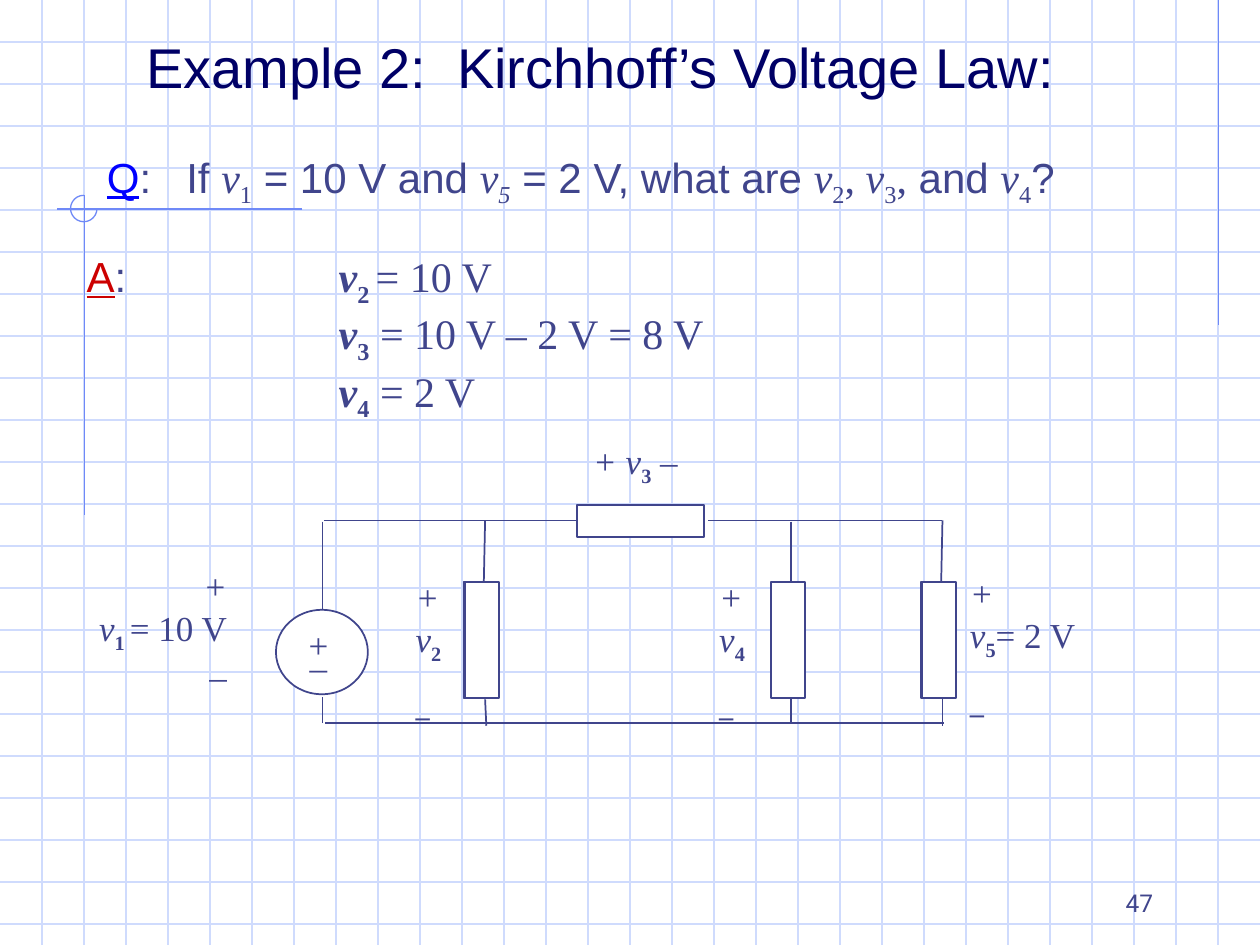
from lxml import etree
from pptx import Presentation
from pptx.dml.color import RGBColor
from pptx.enum.shapes import MSO_CONNECTOR, MSO_SHAPE
from pptx.enum.text import MSO_ANCHOR, PP_ALIGN
from pptx.oxml.ns import qn
from pptx.util import Inches, Pt

GRID = RGBColor(0xCF, 0xDB, 0xFD)
TRIM = RGBColor(0x6F, 0x89, 0xF7)
INK = RGBColor(0x40, 0x45, 0x8C)
NAVY = RGBColor(0x00, 0x00, 0x66)
BLUE = RGBColor(0x00, 0x00, 0xFF)
RED = RGBColor(0xCC, 0x00, 0x00)
WHITE = RGBColor(0xFF, 0xFF, 0xFF)
STRAIGHT = MSO_CONNECTOR.STRAIGHT
RECT, OVAL, ARC = MSO_SHAPE.RECTANGLE, MSO_SHAPE.OVAL, MSO_SHAPE.ARC
LEFT, RIGHT = PP_ALIGN.LEFT, PP_ALIGN.RIGHT
TOP, BOTTOM = MSO_ANCHOR.TOP, MSO_ANCHOR.BOTTOM
SERIF, SANS = "Times New Roman", "Arial"

deck = Presentation()
deck.slide_width, deck.slide_height = Inches(10), Inches(7.5)
slide = deck.slides.add_slide(deck.slide_layouts[5])
shapes = slide.shapes


def draw_line(x1, y1, x2, y2, color=INK, width=1):
    line = shapes.add_connector(STRAIGHT, *map(Inches, (x1, y1, x2, y2)))
    line.line.color.rgb = color
    line.line.width = Pt(width)
    etree.SubElement(line._element.spPr, qn("a:effectLst"))


def write(text, at, box=None, size=20, font=SERIF, color=INK, wrap=False,
          anchor=TOP, aligns=(LEFT,), tab=None):
    """Write lines of (words, style) runs. Style letters: i italic, b bold,
    s subscript, a Arial, q blue underline, r red underline, L large."""
    if box is None:
        box = shapes.add_textbox(0, 0, 0, 0)
    box.left, box.top, box.width, box.height = map(Inches, at)
    frame = box.text_frame
    frame.word_wrap = wrap
    frame.vertical_anchor = anchor
    for n, runs in enumerate(text):
        par = frame.add_paragraph() if n else frame.paragraphs[0]
        par.alignment = aligns[n % len(aligns)]
        if tab:
            stops = etree.SubElement(par._p.get_or_add_pPr(), qn("a:tabLst"))
            etree.SubElement(stops, qn("a:tab"), pos=str(Inches(tab)), algn="l")
        for words, style in runs:
            run = par.add_run()
            run.text = words
            face = run.font
            face.name = SANS if "a" in style else font
            face.size = Pt(28 if "L" in style else size)
            face.italic, face.bold = "i" in style, "b" in style
            face.underline = "q" in style or "r" in style
            face.color.rgb = BLUE if "q" in style else RED if "r" in style else color
            if "s" in style:
                run._r.get_or_add_rPr().set("baseline", "-25000")


# Background grid, three squares to the inch
for n in range(1, 23):
    draw_line(0, n / 3, 10, n / 3, GRID, 0.75)
for n in range(1, 30):
    draw_line(n / 3, 0, n / 3, 7.5, GRID, 0.75)

# Trim lines and open ring
for ends in ((9.67, 0, 9.67, 2.58), (2.4, 1.66, 0.45, 1.66), (0.67, 1.55, 0.67, 4.09)):
    draw_line(*ends, TRIM, 0.75)
ring = shapes.add_shape(ARC, *map(Inches, (0.56, 1.55, 0.21, 0.21)))
ring.adjustments[0], ring.adjustments[1] = 0, 162
ring.fill.background()
ring.line.color.rgb = TRIM
ring.line.width = Pt(0.75)
ring.shadow.inherit = False

# Title, brought in front of the grid
title = shapes.title
shapes._spTree.append(title._element)
write([[("Example 2:  Kirchhoff’s Voltage Law:", "")]], (1.06, 0.21, 7.44, 0.64),
      box=title, size=32, font=SANS, color=NAVY)

# Page number
write([[("47", "")]], (7.17, 6.83, 2.08, 0.5), size=14, font="Roboto",
      wrap=True, anchor=BOTTOM, aligns=(RIGHT,))

# Question and answer
write([[("Q", "aq"), (":\tIf ", "a"), ("v", "i"), ("1", "s"), (" = 10 V and ", "a"),
        ("v", "i"), ("5", "is"), (" = 2 V, what are ", "a"), ("v", "i"), ("2", "s"),
        (", ", ""), ("v", "i"), ("3", "s"), (",", ""), (" and ", "a"), ("v", "i"),
        ("4", "s"), ("?", "a")]],
      (0.75, 1.15, 8.99, 0.56), size=24, wrap=True, tab=0.63)
write([[("A", "ar"), (":\t", "a"), ("v", "bi"), ("2 ", "bs"), ("= 10 V", "")],
       [("\t", ""), ("v", "bi"), ("3", "bs"), (" = 10 V – 2 V = 8 V", "")],
       [("\t", ""), ("v", "bi"), ("4", "bs"), (" = 2 V", "")]],
      (0.59, 1.94, 5.83, 1.47), size=24, wrap=True, tab=2)

# Wires
for ends in ((2.56, 4.14, 2.56, 4.85), (2.56, 5.68, 2.56, 5.53),
             (2.57, 4.13, 4.62, 4.13), (5.62, 4.13, 7.48, 4.13),
             (6.28, 5.74, 6.28, 5.54), (6.28, 4.14, 6.28, 4.62),
             (7.48, 4.13, 7.47, 4.62), (7.48, 5.76, 7.48, 5.55),
             (2.58, 5.74, 7.49, 5.74), (2.56, 5.74, 2.56, 5.58),
             (3.85, 4.13, 3.84, 4.62), (3.86, 5.76, 3.85, 5.55)):
    draw_line(*ends)

# Source and resistors; the outer two uprights are doubled for a heavy edge
parts = [(OVAL, 2.19, 4.84, 0.73, 0.67), (RECT, 4.58, 4.01, 1.01, 0.25)]
parts += [(RECT, x, 4.62, 0.27, 0.92) for x in (3.68, 3.69, 6.12, 7.31, 7.32)]
for kind, *at in parts:
    part = shapes.add_shape(kind, *map(Inches, at))
    part.fill.solid()
    part.fill.fore_color.rgb = WHITE
    part.line.color.rgb = INK
    part.line.width = Pt(1)
    part.shadow.inherit = False

# Voltage labels
write([[("+", "")]], (2.35, 4.9, 0.35, 0.44))
write([[("_", "")]], (2.36, 4.98, 0.34, 0.44))
write([[("+", "i")], [("v", "i"), ("1 ", "bs"), ("= 10 V", "")], [("–", "")]],
      (0.68, 4.43, 1.22, 1.15), aligns=(RIGHT, LEFT, RIGHT))
for x, y, wide, name, value in ((3.2, 4.52, 0.45, "2", ""), (5.61, 4.52, 0.45, "4", ""),
                                (7.6, 4.49, 1.06, "5", "= 2 V")):
    runs = [("v", "i"), (name, "bs")]
    if value:
        runs.append((value, ""))
    write([[("+", "i")], runs, [("–", "bsL")]], (x, y, wide, 1.35), wrap=True)
write([[("+ v", "i"), ("3", "bs"), (" –", "")]], (4.61, 3.44, 0.88, 0.48))

deck.save("out.pptx")
